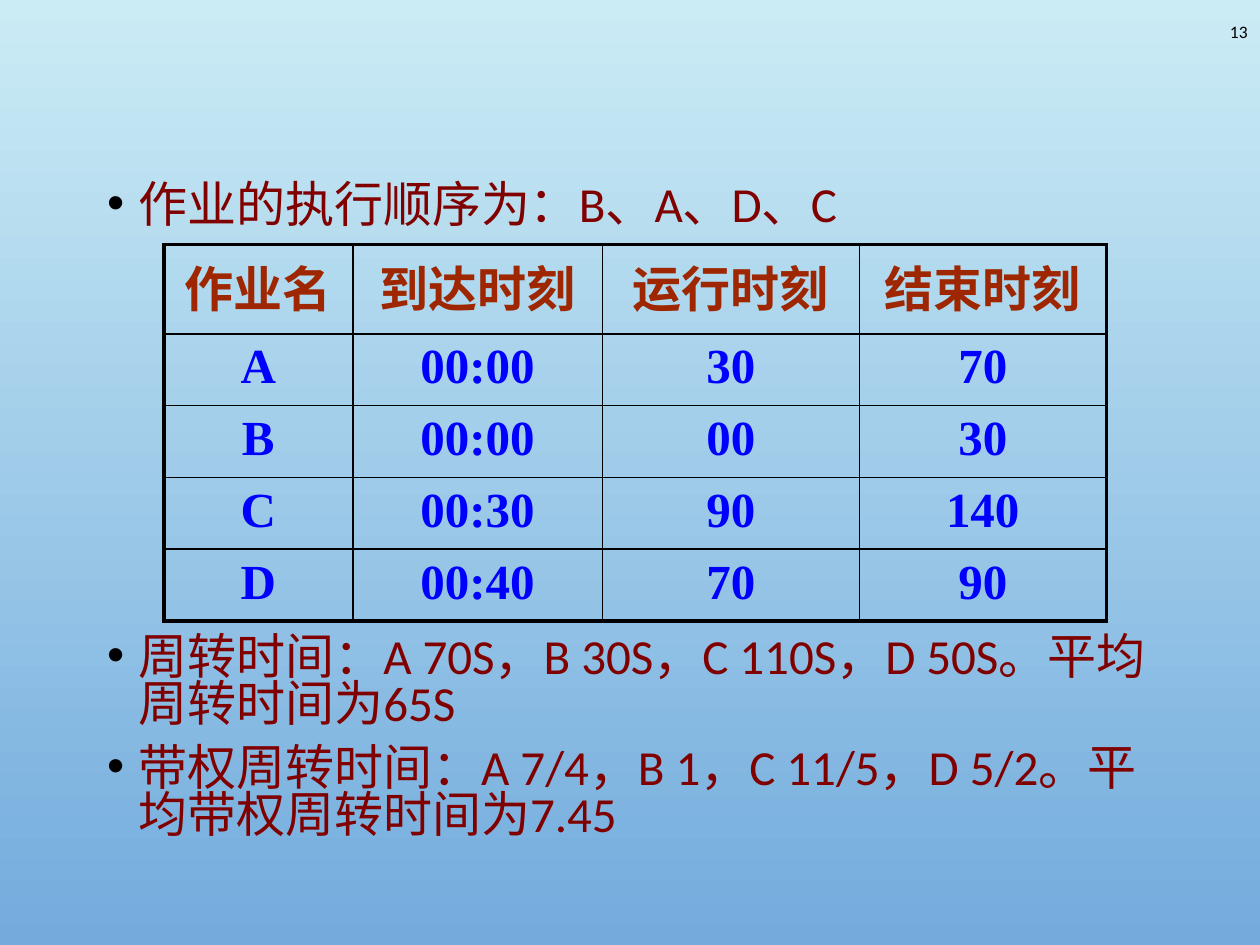
from lxml.etree import SubElement as Sub
from pptx import Presentation
from pptx.dml.color import RGBColor as RGB
from pptx.enum.text import MSO_ANCHOR as Anchor, MSO_AUTO_SIZE as Auto, PP_ALIGN as Align
from pptx.oxml.ns import qn
from pptx.util import Inches, Pt

HUES = {"sky": "CBECF5", "deep": "73ABDD", "ink": "000000",
        "maroon": "800000", "rust": "9E2600", "blue": "0000FF"}
BULLETS = [
    ("作业的执行顺序为：B、A、D、C", 0),
    ("周转时间：A 70S，B 30S，C 110S，D 50S。平均周转时间为65S", 231),
    ("带权周转时间：A 7/4，B 1，C 11/5，D 5/2。平均带权周转时间为7.45", 10),
]
JOBS = [
    ("作业名", "到达时刻", "运行时刻", "结束时刻"),
    ("A", "00:00", "30", "70"),
    ("B", "00:00", "00", "30"),
    ("C", "00:30", "90", "140"),
    ("D", "00:40", "70", "90"),
]
WIDTHS = [1.5, 1.98, 2.04, 1.96]
HEAD, ROW = 0.71, 0.57
THIN, THICK = 1, 2.25
PAGE = "13"


def box(*sides):
    return [Inches(side) for side in sides]


def style(para, size, face, hue, bold=False):
    for run in para.runs:
        font = run.font
        font.size, font.name, font.bold = Pt(size), face, bold
        font.color.rgb = RGB.from_string(HUES[hue])


def tint(parent, hue):
    Sub(parent, qn("a:srgbClr"), val=HUES[hue])


def edge(cell, side, width):
    line = Sub(cell._tc.get_or_add_tcPr(), qn("a:ln" + side), w=str(Pt(width)))
    tint(Sub(line, qn("a:solidFill")), "ink")


def paint(slide):
    fill = slide.background.fill
    fill.gradient()
    fill.gradient_angle = 270
    for stop, hue, place in zip(fill.gradient_stops, ("sky", "deep"), (0, 1)):
        stop.color.rgb, stop.position = RGB.from_string(HUES[hue]), place


def add_page(slide):
    frame = slide.shapes.add_textbox(*box(7.92, 0, 2.08, 0.5)).text_frame
    frame.word_wrap, frame.vertical_anchor = True, Anchor.MIDDLE
    frame.text = PAGE
    para = frame.paragraphs[0]
    para.alignment = Align.RIGHT
    style(para, 10, "Calibri", "ink")


def add_list(slide):
    body = slide.placeholders[1]
    body.left, body.top, body.width, body.height = box(0.75, 1.42, 8.5, 5.72)
    frame = body.text_frame
    frame.auto_size = Auto.NONE
    frame.text = "\n".join(text for text, gap in BULLETS)
    for para, (text, gap) in zip(frame.paragraphs, BULLETS):
        para.line_spacing, para.space_before = 0.8, Pt(gap)
        props = para._p.get_or_add_pPr()
        props.set("marL", str(Inches(0.25)))
        props.set("indent", str(Inches(-0.25)))
        tint(Sub(props, qn("a:buClr")), "ink")
        Sub(props, qn("a:buFont"), typeface="Arial")
        Sub(props, qn("a:buChar"), char="•")
        style(para, 28, "Calibri", "maroon")


def add_jobs(slide):
    rows, cols = len(JOBS), len(WIDTHS)
    high = HEAD + ROW * (rows - 1)
    table = slide.shapes.add_table(rows, cols, *box(1.3, 1.94, sum(WIDTHS), high)).table
    table.first_row = table.horz_banding = False
    for col, width in zip(table.columns, WIDTHS):
        col.width = Inches(width)
    for r, job in enumerate(JOBS):
        table.rows[r].height = Inches(ROW if r else HEAD)
        for c, text in enumerate(job):
            cell = table.cell(r, c)
            cell.margin_left, cell.margin_top, cell.margin_right, cell.margin_bottom = box(
                0.1, 0.05, 0.1, 0.04)
            outer = {"L": c == 0, "R": c == cols - 1, "T": r == 0, "B": r == rows - 1}
            for side, rim in outer.items():
                edge(cell, side, THICK if rim else THIN)
            cell.fill.background()
            cell.text_frame.text = text
            para = cell.text_frame.paragraphs[0]
            para.alignment = Align.CENTER
            style(para, 28, "Times New Roman", "blue" if r else "rust", True)


def main():
    """Build the job scheduling slide."""
    deck = Presentation()
    deck.slide_width, deck.slide_height = box(10, 7.5)
    slide = deck.slides.add_slide(deck.slide_layouts[1])
    title = slide.shapes.title.element
    title.getparent().remove(title)
    paint(slide)
    add_page(slide)
    add_list(slide)
    add_jobs(slide)
    deck.save("out.pptx")


if __name__ == "__main__":
    main()
